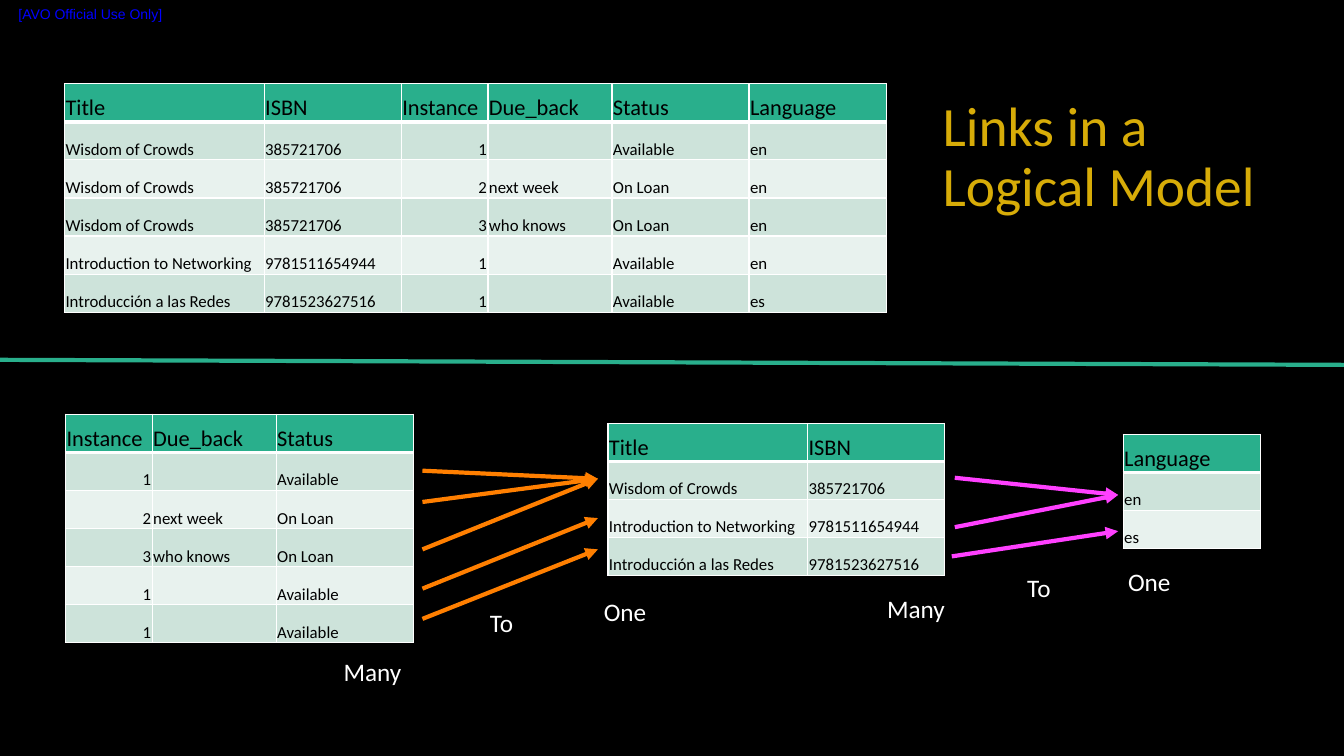
from lxml import etree
from pptx import Presentation
from pptx.dml.color import RGBColor
from pptx.enum.shapes import MSO_CONNECTOR
from pptx.enum.text import MSO_ANCHOR, MSO_AUTO_SIZE, PP_ALIGN
from pptx.oxml.ns import qn
from pptx.util import Inches, Pt

LINE = MSO_CONNECTOR.STRAIGHT
MIDDLE, BOTTOM = MSO_ANCHOR.MIDDLE, MSO_ANCHOR.BOTTOM
GROW = MSO_AUTO_SIZE.SHAPE_TO_FIT_TEXT
LEFT, CENTER, RIGHT = PP_ALIGN.LEFT, PP_ALIGN.CENTER, PP_ALIGN.RIGHT

GREEN, WHITE, BLACK = "29AF8C", "FFFFFF", "000000"
BANDS = "CDE3DA", "E8F2EE"
EDGES = "lnL", "lnR", "lnT", "lnB"
INSET = {"margin_left": Inches(0.01), "margin_right": Inches(0.01),
         "margin_top": Inches(0.01), "margin_bottom": 0}
FLAT = dict.fromkeys(INSET, 0)

WIDTHS = {"Title": 1.98, "ISBN": 1.36, "Instance": 0.86,
          "Due_back": 1.23, "Status": 1.36, "Language": 1.36}
BOOKS = [
    ("Wisdom of Crowds", "385721706", "1", "", "Available", "en"),
    ("Wisdom of Crowds", "385721706", "2", "next week", "On Loan", "en"),
    ("Wisdom of Crowds", "385721706", "3", "who knows", "On Loan", "en"),
    ("Introduction to Networking", "9781511654944", "1", "", "Available", "en"),
    ("Introducción a las Redes", "9781523627516", "1", "", "Available", "es"),
]


def color(text):
    return RGBColor.from_string(text)


def apply(item, values):
    for name, value in values.items():
        setattr(item, name, value)


def write(para, text, size, ink, face="Calibri"):
    run = para.add_run()
    run.text = text
    apply(run.font, {"size": Pt(size), "name": face})
    run.font.color.rgb = color(ink)


def label(slide, box, text, size, ink, face="Calibri", align=LEFT, **frame):
    body = slide.shapes.add_textbox(*map(Inches, box)).text_frame
    apply(body, frame)
    para = body.paragraphs[0]
    para.alignment = align
    write(para, text, size, ink, face)
    return para


def border(cell, widths):
    props = cell._tc.get_or_add_tcPr()
    for edge, width in zip(EDGES, widths):
        line = etree.SubElement(props, qn(f"a:{edge}"), w=str(Pt(width)))
        fill = etree.SubElement(line, qn("a:solidFill"))
        etree.SubElement(fill, qn("a:srgbClr"), val=WHITE)


def grid(slide, box, names, unique=False):
    picks = [list(WIDTHS).index(name) for name in names]
    books = [tuple(book[i] for i in picks) for book in BOOKS]
    if unique:
        books = list(dict.fromkeys(books))
    rows = [names] + books
    left, top, height = box
    width = sum(WIDTHS[name] for name in names)
    table = slide.shapes.add_table(
        len(rows), len(names), *map(Inches, (left, top, width, height))).table
    for col, name in zip(table.columns, names):
        col.width = Inches(WIDTHS[name])
    for r, row in enumerate(rows):
        table.rows[r].height = Inches(height / len(rows))
        for c, text in enumerate(row):
            cell = table.cell(r, c)
            border(cell, (1, 1, 3 if r == 1 else 1, 3 if r == 0 else 1))
            cell.fill.solid()
            cell.fill.fore_color.rgb = color(BANDS[(r - 1) % 2] if r else GREEN)
            apply(cell, {**INSET, "vertical_anchor": BOTTOM})
            para = cell.text_frame.paragraphs[0]
            para.alignment = RIGHT if r and names[c] == "Instance" else LEFT
            if text:
                write(para, text, 12 if r else 16, BLACK)


def stroke(slide, start, end, ink, arrow=False):
    line = slide.shapes.add_connector(LINE, *map(Inches, (*start, *end)))
    line.line.color.rgb = color(ink)
    line.line.width = Pt(3)
    if arrow:
        etree.SubElement(line.line._get_or_add_ln(), qn("a:tailEnd"), type="triangle")
    etree.SubElement(line._element.spPr, qn("a:effectLst"))


def links(slide, box, ink, pairs, words):
    left, top, width = box
    for dx, start, end in pairs:
        stroke(slide, (left + dx, top + start), (left + width, top + end), ink, True)
    for text, dx, dy, span in words:
        label(slide, (left + dx, top + dy, span, 0.4), text, 18, WHITE,
              word_wrap=False, auto_size=GROW)


def heading(slide, box):
    para = label(slide, box, "Links in a Logical Model", 39.6, "D7AC08",
                 word_wrap=True, vertical_anchor=MIDDLE)
    para.line_spacing = 0.9


def main():
    deck = Presentation()
    apply(deck, {"slide_width": Inches(13.33), "slide_height": Inches(7.5)})
    slide = deck.slides.add_slide(deck.slide_layouts[6])
    slide.background.fill.solid()
    slide.background.fill.fore_color.rgb = color(BLACK)

    label(slide, (0, 0, 1.79, 0.27), "[AVO Official Use Only]", 10, "0000FF",
          "Arial", CENTER, word_wrap=True, vertical_anchor=MIDDLE, **FLAT)
    grid(slide, (0.64, 0.83, 2.27), list(WIDTHS))
    heading(slide, (9.25, 0.85, 3.35, 1.45))
    stroke(slide, (0, 3.57), (13.33, 3.62), GREEN)

    grid(slide, (0.65, 4.11, 2.27), ["Instance", "Due_back", "Status"])
    grid(slide, (6.03, 4.2, 1.51), ["Title", "ISBN"], unique=True)
    grid(slide, (11.14, 4.31, 1.13), ["Language"], unique=True)
    links(slide, (4.19, 4.67, 1.74), "FF7F00",
          [(0, 0, 0.08), (0, 0.31, 0.08), (0, 0.78, 0.08),
           (0, 1.17, 0.47), (0, 1.47, 0.78)],
          [("Many", -0.88, 1.79, 0.78), ("To", 0.57, 1.31, 0.44),
           ("One", 1.7, 1.2, 0.63)])
    links(slide, (9.47, 4.74, 1.62), "FF40FF",
          [(0, 0, 0.17), (0, 0.49, 0.17), (-0.03, 0.78, 0.53)],
          [("Many", -0.77, 1.1, 0.78), ("To", 0.62, 0.89, 0.44),
           ("One", 1.62, 0.83, 0.63)])
    deck.save("out.pptx")


if __name__ == "__main__":
    main()
